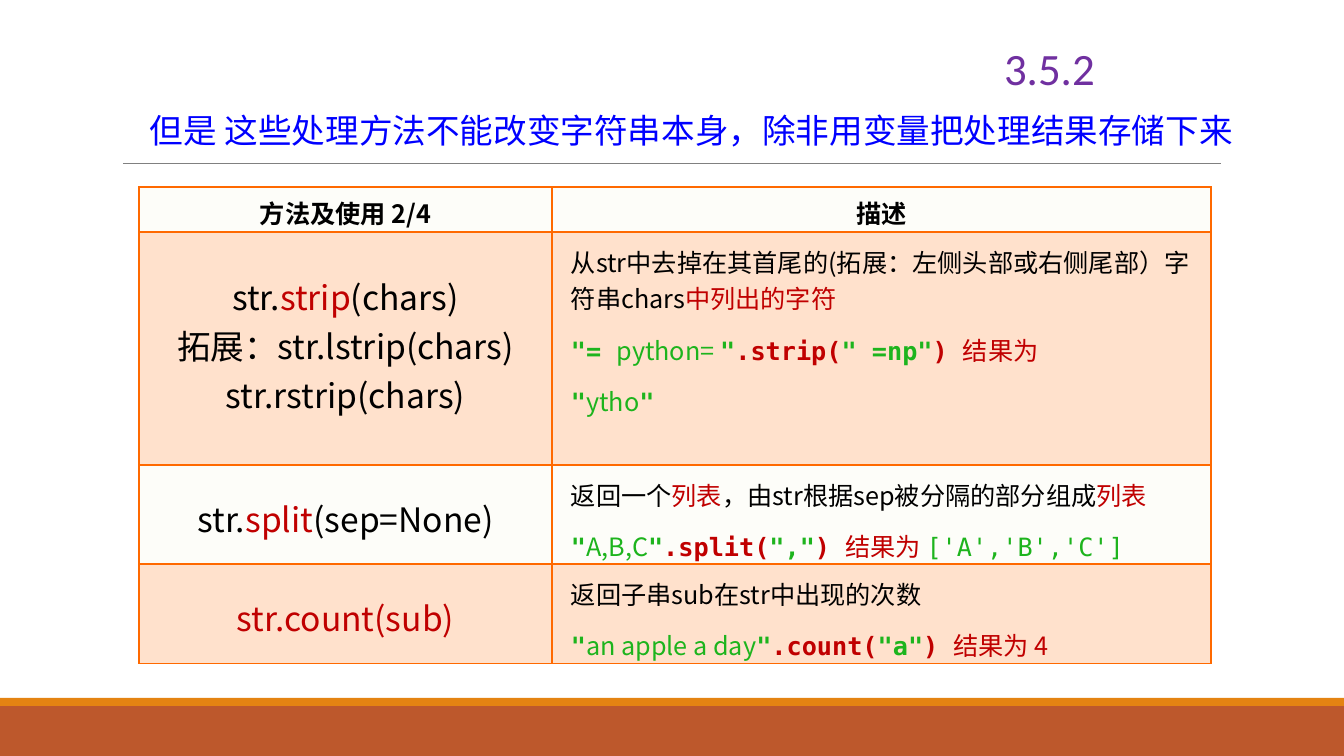
from lxml import etree
from pptx import Presentation
from pptx import util as u
from pptx.dml.color import RGBColor
from pptx.enum import shapes, text
from pptx.oxml.ns import qn

COLORS = {
    "black": "000000", "red": "C00000", "green": "1DB41D", "blue": "0000FF",
    "purple": "7030A0", "orange": "FF6900", "peach": "FFE1CC", "ivory": "FDFDF9",
    "rust": "BD582C", "amber": "E48312", "gray": "808080", "white": "FFFFFF",
}
SANS, MONO = "Noto Sans CJK SC", "DejaVu Sans Mono"


def px(length):
    return u.Emu(round(length * 914400 / 100.8))


def add_run(paragraph, words, color, size, font=SANS, bold=False):
    run = paragraph.add_run()
    run.text = words
    run.font.size = u.Pt(size)
    run.font.bold = bold
    run.font.name = font
    run.font.color.rgb = RGBColor.from_string(COLORS[color])
    east_asian = etree.SubElement(run._r.get_or_add_rPr(), qn("a:ea"))
    east_asian.set("typeface", SANS)


presentation = Presentation()
presentation.slide_width, presentation.slide_height = px(1344), px(756)
slide = presentation.slides.add_slide(presentation.slide_layouts[6])
slide.background.fill.solid()
slide.background.fill.fore_color.rgb = RGBColor.from_string(COLORS["white"])

for top, height, color in [(706, 50, "rust"), (698, 8, "amber")]:
    band = slide.shapes.add_shape(shapes.MSO_SHAPE.RECTANGLE, 0, px(top), px(1344), px(height))
    band.shadow.inherit = False
    band.fill.solid()
    band.fill.fore_color.rgb = RGBColor.from_string(COLORS[color])
    band.line.fill.background()

rule = slide.shapes.add_connector(shapes.MSO_CONNECTOR.STRAIGHT, px(123), px(163), px(1221), px(163))
rule.line.color.rgb = RGBColor.from_string(COLORS["gray"])
rule.line.width = u.Pt(0.5)
etree.SubElement(rule._element.spPr, qn("a:effectLst"))

HEADER, LEFT, RIGHT = (7, 0), (29, 0), (11, 19)
ROWS = [
    (45, "ivory", [
        (HEADER, [[("方法及使用 2/4", "black", 18, SANS, True)]]),
        (HEADER, [[("描述", "black", 18, SANS, True)]]),
    ]),
    (233, "peach", [
        ((40, 0), [
            [("str.", "black", 24), ("strip", "red", 24), ("(chars)", "black", 24)],
            [("拓展：str.lstrip(chars)", "black", 24)],
            [("str.rstrip(chars)", "black", 24)],
        ]),
        (RIGHT, [
            [("从str中去掉在其首尾的(拓展：左侧头部或右侧尾部）字符串chars", "black", 18),
             ("中列出的字符", "red", 18)],
            [('"= ', "green", 18, MONO, True), ("python= ", "green", 18),
             ('"', "green", 18, MONO, True), (".strip(", "red", 18, MONO, True),
             ('" =np"', "green", 18, MONO, True), (") ", "red", 18, MONO, True),
             ("结果为", "red", 18)],
            [('"', "green", 18, MONO, True), ("ytho", "green", 18),
             ('"', "green", 18, MONO, True)],
        ]),
    ]),
    (99, "ivory", [
        (LEFT, [[("str.", "black", 24), ("split", "red", 24), ("(sep=None)", "black", 24)]]),
        (RIGHT, [
            [("返回一个", "black", 18), ("列表", "red", 18),
             ("，由str根据sep被分隔的部分组成", "black", 18), ("列表", "red", 18)],
            [('"', "green", 18, MONO, True), ("A,B,C", "green", 18),
             ('"', "green", 18, MONO, True), (".split(", "red", 18, MONO, True),
             ('","', "green", 18, MONO, True), (") ", "red", 18, MONO, True),
             ("结果为 ", "red", 18), ("['A','B','C']", "green", 18, MONO)],
        ]),
    ]),
    (99, "peach", [
        (LEFT, [[("str.count(sub)", "red", 24)]]),
        (RIGHT, [
            [("返回子串sub在str中出现的次数", "black", 18)],
            [('"', "green", 18, MONO, True), ("an apple a day", "green", 18),
             ('"', "green", 18, MONO, True), (".count(", "red", 18, MONO, True),
             ('"a"', "green", 18, MONO, True), (") ", "red", 18, MONO, True),
             ("结果为 4", "red", 18)],
        ]),
    ]),
]

table = slide.shapes.add_table(len(ROWS), 2, px(139), px(187), px(1072), px(476)).table
table.first_row = False
table.horz_banding = False
for column, width in zip(table.columns, (413, 659)):
    column.width = px(width)

for row_index, (height, fill, cells) in enumerate(ROWS):
    table.rows[row_index].height = px(height)
    for column_index, ((inset, indent), paragraphs) in enumerate(cells):
        cell = table.cell(row_index, column_index)
        cell.margin_left = cell.margin_right = cell.margin_bottom = 0
        cell.margin_top = px(inset)
        properties = cell._tc.get_or_add_tcPr()
        for side in ("lnL", "lnR", "lnT", "lnB"):
            thick = (row_index, side) in [(0, "lnB"), (1, "lnT")]
            border = etree.SubElement(properties, qn(f"a:{side}"))
            border.set("w", str(u.Pt(2.25 if thick else 1)))
            paint = etree.SubElement(border, qn("a:solidFill"))
            etree.SubElement(paint, qn("a:srgbClr")).set("val", COLORS["orange"])
        cell.fill.solid()
        cell.fill.fore_color.rgb = RGBColor.from_string(COLORS[fill])
        for number, runs in enumerate(paragraphs):
            frame = cell.text_frame
            paragraph = frame.add_paragraph() if number else frame.paragraphs[0]
            if indent:
                paragraph._p.get_or_add_pPr().set("marL", str(px(indent)))
                if number:
                    paragraph.space_before = u.Pt(10.8)
            else:
                paragraph.alignment = text.PP_ALIGN.CENTER
            for run in runs:
                add_run(paragraph, *run)

TEXTS = [
    ((974, 36, 151, 65), "3.5.2", "purple", 32, "Calibri", text.PP_ALIGN.CENTER, 1.0),
    ((140, 85, 1119, 72), "但是 这些处理方法不能改变字符串本身，除非用变量把处理结果存储下来",
     "blue", 24, SANS, text.PP_ALIGN.LEFT, 1.5),
]
for place, words, color, size, font, alignment, spacing in TEXTS:
    box = slide.shapes.add_textbox(*map(px, place))
    box.text_frame.word_wrap = True
    paragraph = box.text_frame.paragraphs[0]
    paragraph.alignment = alignment
    paragraph.line_spacing = spacing
    add_run(paragraph, words, color, size, font)

presentation.save("out.pptx")
